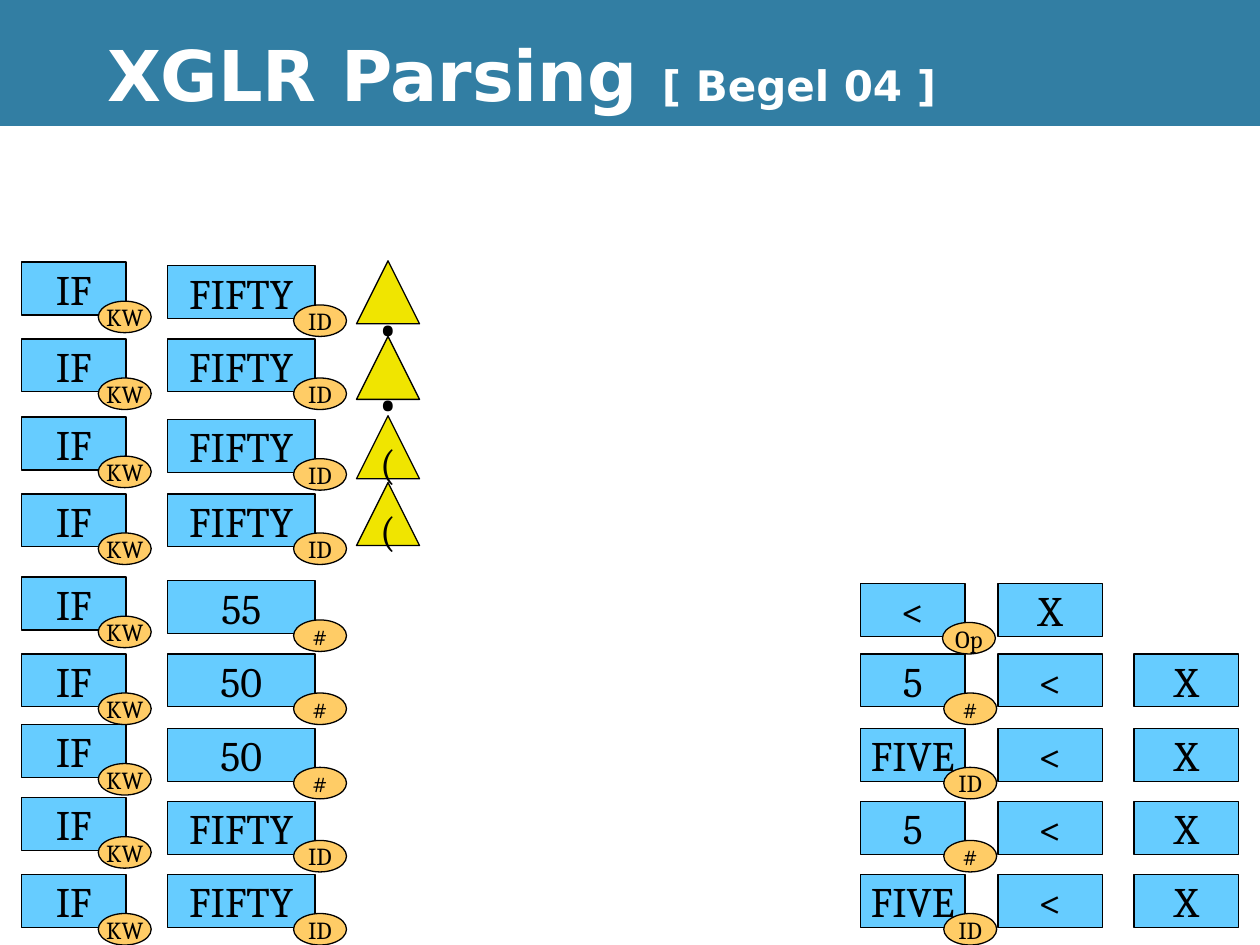
from dataclasses import dataclass

from pptx import Presentation
from pptx.dml.color import RGBColor
from pptx.enum import shapes, text
from pptx.util import Inches, Pt


@dataclass(frozen=True)
class Theme:
    band: str = "327EA3"
    token: str = "66CCFF"
    badge: str = "FFCC66"
    fork: str = "F0E500"
    ink: str = "000000"
    paper: str = "FFFFFF"
    head: str = "DejaVu Sans"
    body: str = "Cambria"
    big: int = 40
    mid: int = 24
    small: int = 14


@dataclass(frozen=True)
class Token:
    label: str
    left: float
    top: float
    width: float = 0.83
    tag: str = ""
    lap: float = 0.17


@dataclass(frozen=True)
class Row:
    word: str
    tag: str
    top: float
    start: float


@dataclass(frozen=True)
class Fork:
    label: str
    top: float
    size: int
    bold: bool = False


THEME = Theme()
KIND = shapes.MSO_SHAPE
HIGH = 0.42
DROP = 0.31

ROWS = [
    Row("FIFTY", "ID", 2.11, 2.08),
    Row("FIFTY", "ID", 2.69, 2.69),
    Row("FIFTY", "ID", 3.33, 3.31),
    Row("FIFTY", "ID", 3.92, 3.92),
    Row("55", "#", 4.61, 4.58),
    Row("50", "#", 5.19, 5.19),
    Row("50", "#", 5.78, 5.75),
    Row("FIFTY", "ID", 6.36, 6.33),
    Row("FIFTY", "ID", 6.94, 6.94),
]
TAILS = [("5", "#"), ("FIVE", "ID"), ("5", "#"), ("FIVE", "ID")]
FORKS = [
    Fork(".", 2.07, THEME.big, True),
    Fork(".", 2.67, THEME.big, True),
    Fork("(", 3.3, THEME.mid),
    Fork("(", 3.83, THEME.mid),
]


def write(para, words: str, *, size: int, font: str = THEME.body,
          color: str = THEME.ink, bold: bool = False) -> None:
    run = para.add_run()
    run.text = words
    run.font.name = font
    run.font.size = Pt(size)
    run.font.bold = bold
    run.font.color.rgb = RGBColor.from_string(color)


def draw(slide, kind, box: tuple, fill: str, label: str = "",
         size: int = THEME.mid, bold: bool = False) -> None:
    shape = slide.shapes.add_shape(kind, *map(Inches, box))
    shape.shadow.inherit = False
    shape.fill.solid()
    shape.fill.fore_color.rgb = RGBColor.from_string(fill)
    if not label:
        shape.line.fill.background()
        return
    shape.line.color.rgb = RGBColor.from_string(THEME.ink)
    shape.line.width = Pt(0.75)
    frame = shape.text_frame
    frame.word_wrap = False
    frame.vertical_anchor = text.MSO_ANCHOR.MIDDLE
    para = frame.paragraphs[0]
    para.alignment = text.PP_ALIGN.CENTER
    write(para, label, size=size, bold=bold)


def draw_token(slide, token: Token) -> None:
    box = (token.left, token.top, token.width, HIGH)
    draw(slide, KIND.RECTANGLE, box, THEME.token, token.label)
    if token.tag:
        left = token.left + token.width - token.lap
        box = (left, token.top + DROP, 0.42, 0.25)
        draw(slide, KIND.OVAL, box, THEME.badge, token.tag, THEME.small)


def draw_title(slide) -> None:
    draw(slide, KIND.RECTANGLE, (0, 0, 10, 1), THEME.band)
    title = slide.shapes.title
    slide.shapes.element.append(title.element)
    title.left, title.top = Inches(0.75), Inches(0.08)
    title.width, title.height = Inches(9.25), Inches(1)
    frame = title.text_frame
    frame.auto_size = text.MSO_AUTO_SIZE.NONE
    frame.vertical_anchor = text.MSO_ANCHOR.MIDDLE
    para = frame.paragraphs[0]
    para.alignment = text.PP_ALIGN.LEFT
    for words, size in (("XGLR Parsing ", THEME.big),
                        ("[ Begel 04 ]", THEME.mid)):
        write(para, words, size=size, font=THEME.head,
              color=THEME.paper, bold=True)


def list_tokens() -> list[Token]:
    tokens = []
    for row in reversed(ROWS):
        tokens.append(Token("IF", 0.17, row.start, tag="KW", lap=0.22))
        tokens.append(Token(row.word, 1.33, row.top, 1.17, row.tag))
    for (word, tag), row in zip(TAILS, ROWS[-len(TAILS):]):
        tokens += [Token("<", 7.92, row.top), Token("X", 9, row.top),
                   Token(word, 6.83, row.top, tag=tag)]
    tokens += [Token("X", 7.92, 4.63),
               Token("<", 6.83, 4.63, tag="Op", lap=0.18)]
    return tokens


def main() -> None:
    deck = Presentation()
    deck.slide_width, deck.slide_height = Inches(10), Inches(7.5)
    slide = deck.slides.add_slide(deck.slide_layouts[5])
    slide.background.fill.solid()
    slide.background.fill.fore_color.rgb = RGBColor.from_string(THEME.paper)
    draw_title(slide)
    for token in list_tokens():
        draw_token(slide, token)
    for fork in FORKS:
        draw(slide, KIND.ISOSCELES_TRIANGLE, (2.83, fork.top, 0.5, 0.5),
             THEME.fork, fork.label, fork.size, fork.bold)
    deck.save("out.pptx")


if __name__ == "__main__":
    main()
